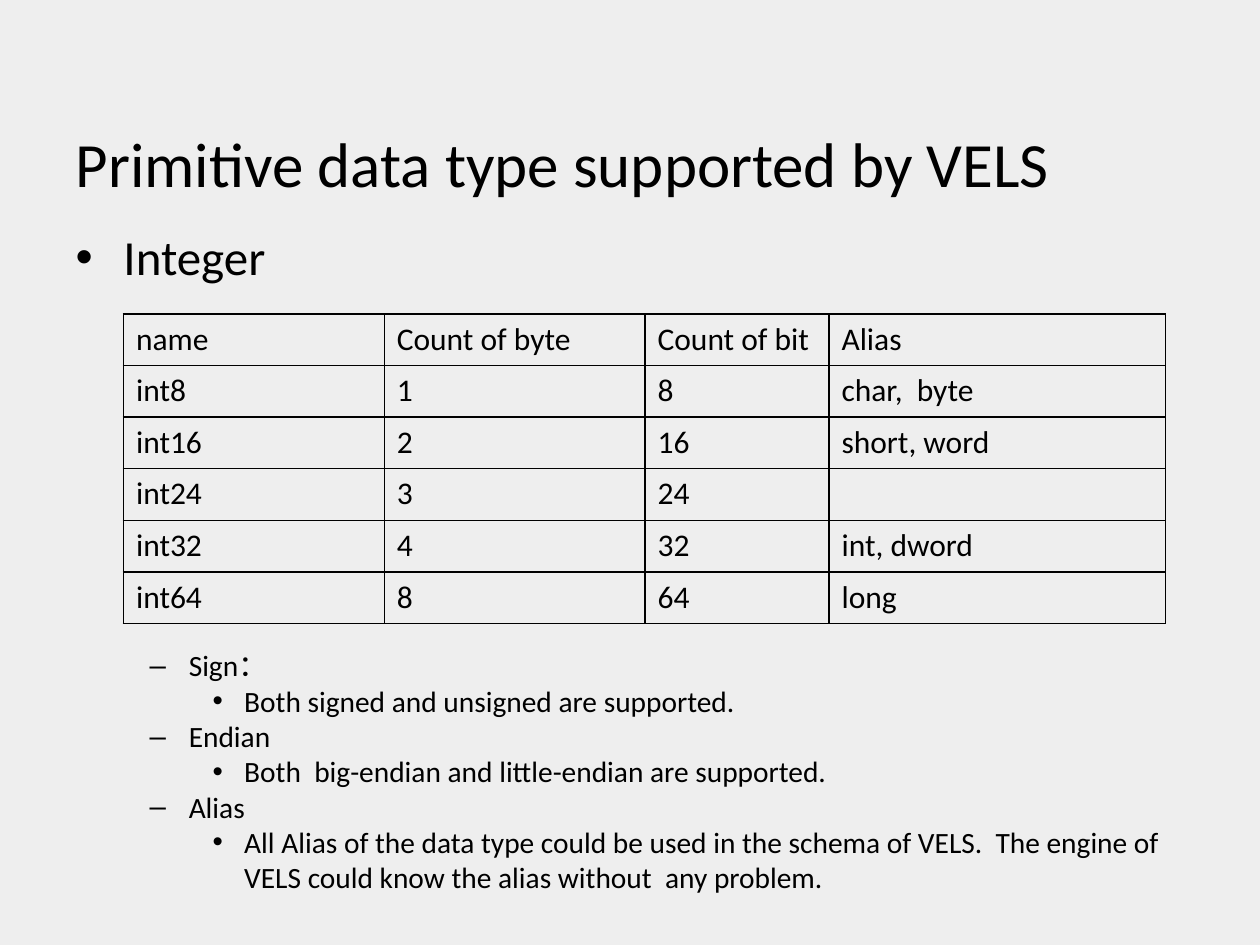
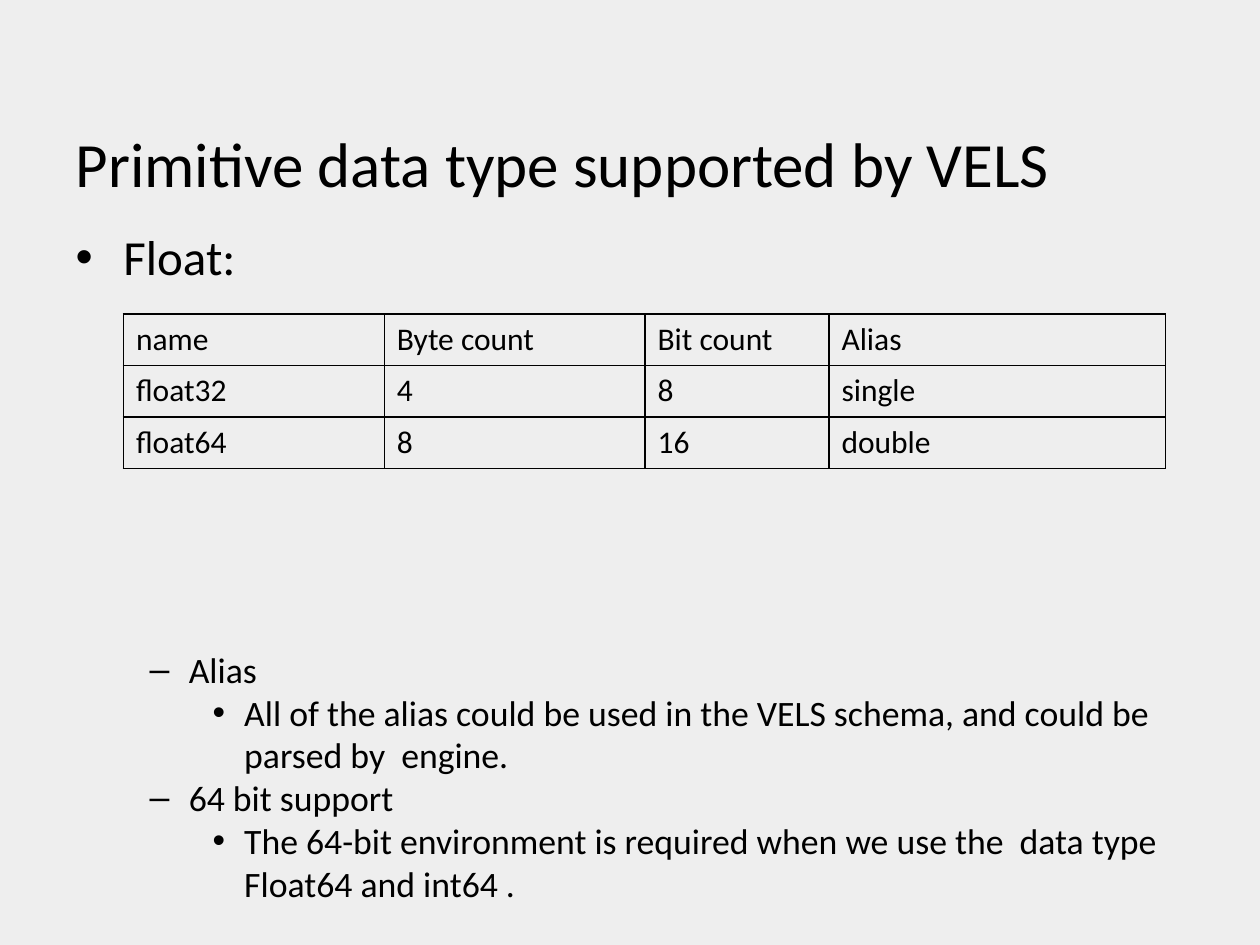
from dataclasses import dataclass

from lxml.etree import SubElement
from pptx import Presentation
from pptx.dml.color import RGBColor
from pptx.enum.text import MSO_ANCHOR as Anchor, MSO_AUTO_SIZE as AutoSize, PP_ALIGN as Align
from pptx.oxml.ns import qn
from pptx.util import Inches, Pt


@dataclass(frozen=True)
class Theme:
    font: str = "Calibri"
    ink: str = "000000"
    paper: str = "EEEEEE"
    title_size: float = 36
    topic_size: float = 28
    cell_size: float = 18
    rule_width: float = 1


LEVELS = [("•", 0.38, 0.38), ("–", 0.81, 0.31), ("•", 1.25, 0.25)]
COLUMN_WIDTHS = [2.07, 2.07, 1.46, 2.67]
TABLE_ROW_HEIGHT = 0.41
SYSTEM = "VELS"
TITLE = f"Primitive data type supported by {SYSTEM}"


class TypeDeck:
    """Builds slides that each describe one family of data types."""

    def __init__(self, theme):
        self.theme = theme
        self.prs = Presentation()
        self.prs.slide_width, self.prs.slide_height = Inches(10), Inches(7.5)
        paper = self.prs.slide_master.background.fill
        paper.solid()
        paper.fore_color.rgb = RGBColor.from_string(theme.paper)
        self.slide = None

    def style(self, paragraph, size):
        paragraph.font.name = self.theme.font
        paragraph.font.size = Pt(size)
        paragraph.font.color.rgb = RGBColor.from_string(self.theme.ink)
        paragraph.alignment = Align.LEFT
        paragraph.space_before = Pt(0)

    def bullet(self, paragraph, level, size):
        mark, indent, hanging = LEVELS[level]
        paragraph.level = level
        self.style(paragraph, size)
        properties = paragraph._p.get_or_add_pPr()
        properties.set("marL", str(Inches(indent)))
        properties.set("indent", str(-Inches(hanging)))
        SubElement(properties, qn("a:buFont"), typeface="Arial")
        SubElement(properties, qn("a:buChar"), char=mark)

    def place(self, holder, left, top, width, height):
        holder.left, holder.top = Inches(left), Inches(top)
        holder.width, holder.height = Inches(width), Inches(height)
        holder.text_frame.auto_size = AutoSize.NONE
        holder.text_frame.word_wrap = True

    def start(self, topic):
        self.slide = self.prs.slides.add_slide(self.prs.slide_layouts[1])
        title, body = self.slide.placeholders
        self.place(body, 0.5, 1.75, 9, 0.58)
        body.text_frame.text = topic
        self.bullet(body.text_frame.paragraphs[0], 0, self.theme.topic_size)
        self.place(title, 0.5, 0.39, 9, 1.25)
        title.text_frame.text = TITLE
        title.text_frame.vertical_anchor = Anchor.BOTTOM
        self.style(title.text_frame.paragraphs[0], self.theme.title_size)

    def rule_cell(self, cell):
        properties = cell._tc.get_or_add_tcPr()
        for side in ("lnL", "lnR", "lnT", "lnB"):
            line = SubElement(properties, qn(f"a:{side}"), w=str(Pt(self.theme.rule_width)))
            fill = SubElement(line, qn("a:solidFill"))
            SubElement(fill, qn("a:srgbClr"), val=self.theme.ink)
        cell.fill.background()

    def table(self, rows):
        frame = self.slide.shapes.add_table(
            len(rows), len(COLUMN_WIDTHS), Inches(0.98), Inches(2.49),
            Inches(sum(COLUMN_WIDTHS)), Inches(TABLE_ROW_HEIGHT * len(rows)))
        grid = frame.table
        grid.first_row = grid.horz_banding = False
        for column, width in zip(grid.columns, COLUMN_WIDTHS):
            column.width = Inches(width)
        for grid_row, values in zip(grid.rows, rows):
            grid_row.height = Inches(TABLE_ROW_HEIGHT)
            for cell, value in zip(grid_row.cells, values):
                cell.text = value
                self.style(cell.text_frame.paragraphs[0], self.theme.cell_size)
                self.rule_cell(cell)

    def notes(self, remarks, size):
        box = self.slide.shapes.add_textbox(0, 0, 0, 0)
        self.place(box, 0.59, 5.09, 9, 1.73)
        lines = [(level, text) for remark in remarks for level, text in enumerate(remark, 1)]
        box.text_frame.text = "\n".join(text for _, text in lines)
        for paragraph, (level, _) in zip(box.text_frame.paragraphs, lines):
            self.bullet(paragraph, level, size)


deck = TypeDeck(Theme())

deck.start("Integer")
deck.table([
    ("name", "Count of byte", "Count of bit", "Alias"),
    ("int8", "1", "8", "char,  byte"),
    ("int16", "2", "16", "short, word"),
    ("int24", "3", "24", ""),
    ("int32", "4", "32", "int, dword"),
    ("int64", "8", "64", "long"),
])
deck.notes([
    ("Sign\uff1a", "Both signed and unsigned are supported."),
    ("Endian", "Both  big-endian and little-endian are supported."),
    ("Alias", f"All Alias of the data type could be used in the schema of {SYSTEM}.  "
              f"The engine of {SYSTEM} could know the alias without  any problem."),
], size=16.8)

deck.start("Float:")
deck.table([
    ("name", "Byte count", "Bit count", "Alias"),
    ("float32", "4", "8", "single"),
    ("float64", "8", "16", "double"),
])
deck.notes([
    ("Alias", f"All of the alias could be used in the {SYSTEM} schema, "
              "and could be parsed by  engine."),
    ("64 bit support", "The 64-bit environment is required when we use the  "
                       "data type Float64 and int64 ."),
], size=20.4)

deck.prs.save("out.pptx")
